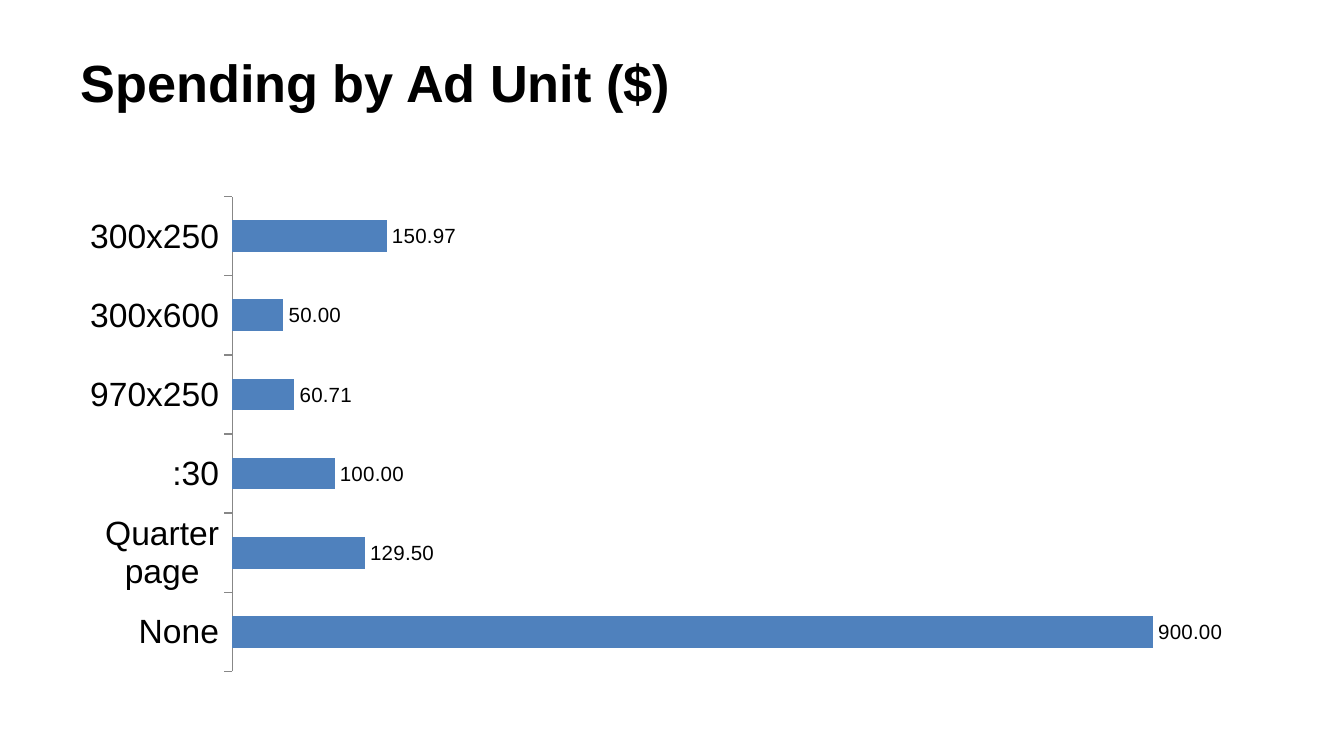
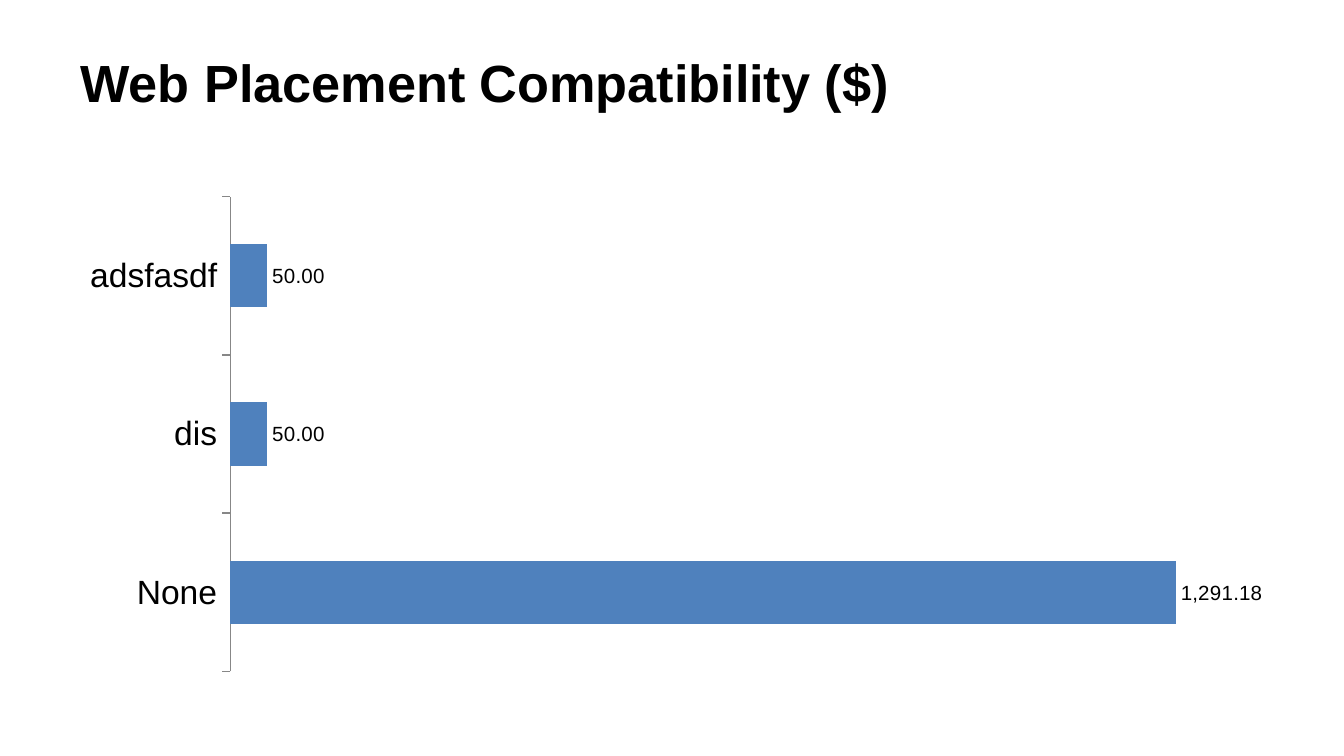
import pptx
import pptx.util
import pptx.chart.data
import pptx.dml.color
import pptx.enum.chart
import pptx.enum.text

Pt = pptx.util.Pt
RGB = pptx.dml.color.RGBColor
ENUM = pptx.enum.chart

# Content: title and bars of each slide
PAGES = [
    ("Spending by Ad Unit ($)", [
        ("300x250", 150.97),
        ("300x600", 50),
        ("970x250", 60.71),
        (":30", 100),
        ("Quarter page", 129.5),
        ("None", 900),
    ]),
    ("Web Placement Compatibility ($)", [
        ("adsfasdf", 50),
        ("dis", 50),
        ("None", 1291.18),
    ]),
]

# Shared style
FONT = "Arial"
BLACK = RGB(0x00, 0x00, 0x00)
WHITE = RGB(0xFF, 0xFF, 0xFF)
BLUE = RGB(0x4F, 0x81, 0xBD)
GRAY = RGB(0x87, 0x87, 0x87)
WIDE, HIGH = 720, 405
TITLE = (36, 21.6, 648, 44.64)
CHART = (35.28, 100.08, 650.16, 264.96)


def style(font, size, color=BLACK, bold=False):
    font.name, font.size, font.bold = FONT, Pt(size), bold
    font.color.rgb = color


def write(shape, text, box, size=28, bold=False, color=BLACK):
    shape.left, shape.top, shape.width, shape.height = map(Pt, box)
    frame = shape.text_frame
    frame.word_wrap = True
    frame.auto_size = pptx.enum.text.MSO_AUTO_SIZE.NONE
    frame.vertical_anchor = pptx.enum.text.MSO_ANCHOR.MIDDLE
    line = frame.paragraphs[0]
    line.alignment = pptx.enum.text.PP_ALIGN.LEFT
    run = line.add_run()
    run.text = text
    style(run.font, size, color, bold)


def draw(slide, bars):
    names, sums = zip(*bars)
    data = pptx.chart.data.CategoryChartData(number_format="#,##0.00")
    data.categories = names
    data.add_series("Series 1", sums)
    chart = slide.shapes.add_chart(
        ENUM.XL_CHART_TYPE.BAR_CLUSTERED, *map(Pt, CHART), data).chart
    chart.has_legend = chart.has_title = False
    style(chart.font, 18)

    # Axes: first bar on top, no value scale
    axis = chart.category_axis
    axis.reverse_order = True
    axis.has_major_gridlines = False
    axis.major_tick_mark = ENUM.XL_TICK_MARK.OUTSIDE
    axis.format.line.color.rgb = GRAY
    style(axis.tick_labels.font, 18)
    chart.value_axis.visible = False
    chart.value_axis.has_major_gridlines = False

    # Bars and their values
    plot = chart.plots[0]
    plot.gap_width = 150
    plot.vary_by_categories = False
    fill = plot.series[0].format.fill
    fill.solid()
    fill.fore_color.rgb = BLUE
    plot.has_data_labels = True
    tags = plot.data_labels
    tags.show_value = True
    tags.number_format = "#,##0.00"
    tags.number_format_is_linked = False
    tags.position = ENUM.XL_LABEL_POSITION.OUTSIDE_END
    style(tags.font, 11)


# Build the deck
deck = pptx.Presentation()
deck.slide_width, deck.slide_height = Pt(WIDE), Pt(HIGH)
back = deck.slide_master.background.fill
back.solid()
back.fore_color.rgb = WHITE
for title, bars in PAGES:
    slide = deck.slides.add_slide(deck.slide_layouts[5])
    write(slide.shapes.title, title, TITLE, bold=True)
    draw(slide, bars)

deck.save("out.pptx")
